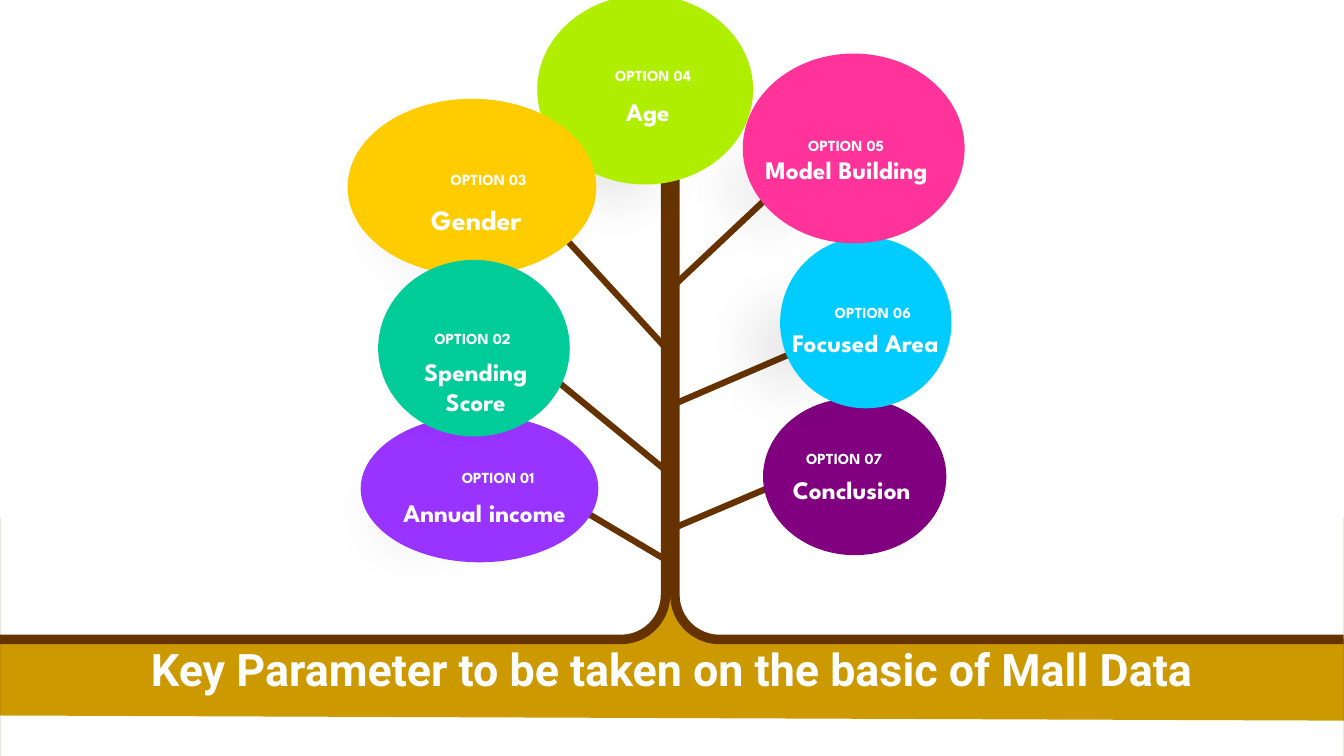
from pptx import Presentation
from pptx.dml.color import RGBColor
from pptx.enum.shapes import MSO_CONNECTOR as Connector, MSO_SHAPE as Shape
from pptx.enum.text import MSO_ANCHOR as Anchor, MSO_AUTO_SIZE as AutoSize, PP_ALIGN as Align
from pptx.oxml.ns import qn
from pptx.util import Cm, Pt
from lxml.etree import SubElement

BLACK = RGBColor(0x00, 0x00, 0x00)
WHITE = RGBColor(0xFF, 0xFF, 0xFF)
BARK = RGBColor(0x66, 0x33, 0x00)
SOIL = RGBColor(0xCC, 0x99, 0x00)
VIOLET = RGBColor(0x99, 0x33, 0xFF)
PURPLE = RGBColor(0x80, 0x00, 0x80)
SKY = RGBColor(0x00, 0xCC, 0xFF)
PINK = RGBColor(0xFF, 0x33, 0x99)
LIME = RGBColor(0xB0, 0xEE, 0x00)
YELLOW = RGBColor(0xFF, 0xCC, 0x00)
GREEN = RGBColor(0x00, 0xCC, 0x99)

TRUNK_BEND = (0.015, 0.193, 0, 0.078)

# Corner points of the ground, in cm
GROUND = [(-0.05, 16.08), (15.77, 16.15), (16.54, 15.75), (16.84, 14.78), (17.3, 15.75),
          (18.19, 16.15), (28.68, 16.1), (33.96, 16.1), (33.91, 18.16), (-0.08, 18.03)]

# Start on the trunk and tip of each branch, in cm
BRANCHES = [
    ((16.89, 8.89), (13.67, 5.38)),
    ((16.97, 7.21), (19.69, 4.65)),
    ((16.97, 12.01), (13.67, 9.3)),
    ((16.97, 10.19), (20.45, 8.69)),
    ((16.97, 14.22), (14.58, 12.8)),
    ((16.97, 13.31), (19.61, 12.19)),
]

# Number, topic, size, colour, then boxes of shade, disc, number and topic, in cm
LEAVES = [
    (1, "Annual income", 18, VIOLET, (6.88, 10.19, 7.19, 5.31), (9.09, 10.46, 5.99, 3.71),
     (10.41, 11.68, 4.29, 0.76), (9, 12.4, 6.43, 1.14)),
    (7, "Conclusion", 18, PURPLE, (16.94, 10.29, 5.89, 5), (19.23, 10.03, 4.62, 3.96),
     (19.51, 11.2, 3.53, 0.74), (19.46, 11.84, 4.01, 1.02)),
    (6, "Focused Area", 18, SKY, (16.76, 5.54, 6.35, 6.35), (19.66, 5.97, 4.32, 4.32),
     (20.5, 7.52, 3, 0.74), (19.46, 8.13, 4.7, 1.8)),
    (5, "Model Building", 18, PINK, (16.15, 1.78, 6.27, 5.89), (18.72, 1.35, 5.59, 4.78),
     (19.79, 3.3, 3.07, 0.71), (18.16, 3.76, 6.35, 1.02)),
    (4, "Age", 18, LIME, (11.96, 0.86, 6.96, 6.12), (13.54, -0.13, 5.44, 4.78),
     (14.76, 1.55, 3.4, 0.74), (13.03, 2.31, 6.6, 1.02)),
    (3, "Gender", 20, YELLOW, (7.39, 2.21, 7.11, 6.35), (8.76, 2.49, 6.27, 4.45),
     (10.64, 4.17, 3.35, 0.74), (8.86, 4.98, 6.3, 1.12)),
    (2, "Spending Score", 18, GREEN, (8.36, 6.07, 6.35, 6.35), (9.53, 6.55, 4.83, 4.45),
     (10.41, 8.18, 3, 0.74), (9.63, 8.86, 4.72, 1.8)),
]


def assign(target, values):
    for name, value in values.items():
        setattr(target, name, value)


class TreeSlide:
    heading_font = "Roboto"
    leaf_font = "League Spartan"
    branch_width = Pt(4.5)
    shade_alpha = 21000
    shade_blur = Cm(1.76)

    def __init__(self, deck):
        self.slide = deck.slides.add_slide(deck.slide_layouts[6])
        self.shapes = self.slide.shapes

    def paint(self, shape, color):
        shape.shadow.inherit = False
        shape.fill.solid()
        shape.fill.fore_color.rgb = color
        shape.line.fill.background()
        return shape

    def add_words(self, frame, words, size, font_name):
        paragraph = frame.paragraphs[0]
        paragraph.alignment = Align.CENTER
        run = paragraph.add_run()
        run.text = words
        assign(run.font, {"name": font_name, "size": Pt(size), "bold": True})
        run.font.color.rgb = WHITE

    def ground(self, points, heading):
        corners = [(Cm(x), Cm(y)) for x, y in points]
        builder = self.shapes.build_freeform(*corners[0])
        builder.add_line_segments(corners[1:], close=True)
        soil = self.paint(builder.convert_to_shape(), SOIL)
        assign(soil.text_frame, {"word_wrap": True, "vertical_anchor": Anchor.MIDDLE,
                                 "margin_top": Cm(0.9)})
        self.add_words(soil.text_frame, heading, 32, self.heading_font)

    def preset(self, shapes, kind, box, color):
        return self.paint(shapes.add_shape(kind, *map(Cm, box)), color)

    def trunk(self, halves):
        group = self.shapes.add_group_shape().shapes
        for box, flipped in halves:
            half = self.preset(group, Shape.BENT_ARROW, box, BARK)
            for index, value in enumerate(TRUNK_BEND):
                half.adjustments[index] = value
            half.rotation = 180
            if flipped:
                half._element.spPr.find(qn("a:xfrm")).set("flipH", "1")

    def branch(self, start, tip):
        twig = self.shapes.add_connector(Connector.STRAIGHT, *map(Cm, start + tip))
        twig.line.color.rgb = BARK
        twig.line.width = self.branch_width
        SubElement(twig._element.spPr, qn("a:effectLst"))

    def shade(self, shapes, box):
        soft = self.preset(shapes, Shape.OVAL, box, BLACK)
        properties = soft._element.spPr
        tint = properties.find(qn("a:solidFill"))[0]
        SubElement(tint, qn("a:alpha"), val=str(self.shade_alpha))
        effects = properties.find(qn("a:effectLst"))
        SubElement(effects, qn("a:softEdge"), rad=str(self.shade_blur))

    def label(self, shapes, words, size, box):
        frame = shapes.add_textbox(*map(Cm, box)).text_frame
        assign(frame, {"word_wrap": True, "auto_size": AutoSize.SHAPE_TO_FIT_TEXT})
        self.add_words(frame, words, size, self.leaf_font)

    def leaf(self, number, topic, size, color, shade_box, disc_box, number_box, topic_box):
        group = self.shapes.add_group_shape().shapes
        self.shade(group, shade_box)
        self.preset(group, Shape.OVAL, disc_box, color)
        self.label(group, f"OPTION {number:02d}", 11, number_box)
        self.label(group, topic, size, topic_box)


def main():
    deck = Presentation()
    assign(deck, {"slide_width": Cm(33.87), "slide_height": Cm(19.05)})
    tree = TreeSlide(deck)

    # Ground with the heading
    tree.ground(GROUND, "Key Parameter to be taken on the basic of Mall Data")

    # Trunk and branches
    tree.trunk([((0, 3.28, 16.89, 15.9), False), ((16.89, 3.28, 16.97, 15.9), True)])
    for start, tip in BRANCHES:
        tree.branch(start, tip)

    # Leaves with the options
    for leaf in LEAVES:
        tree.leaf(*leaf)

    deck.save("out.pptx")


if __name__ == "__main__":
    main()
